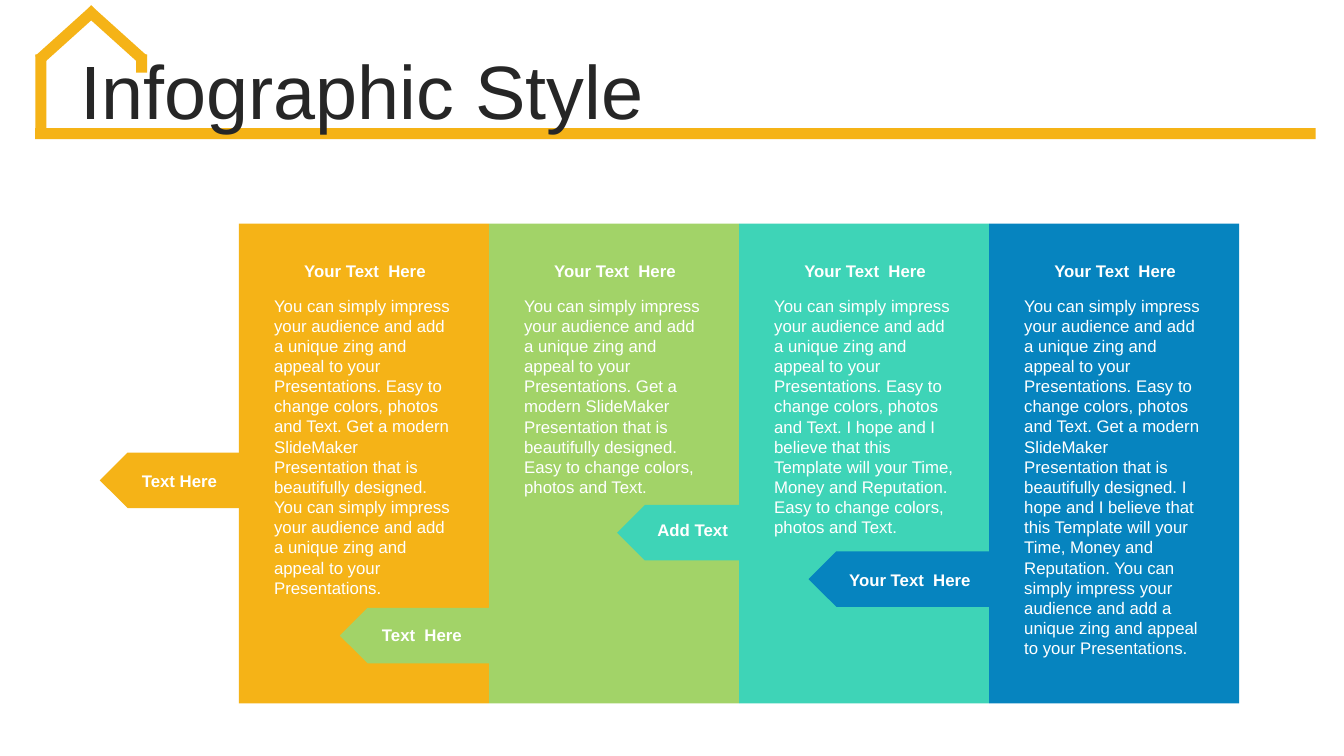
from pptx import Presentation
from pptx.dml.color import RGBColor
from pptx.enum.shapes import MSO_SHAPE
from pptx.enum.text import MSO_ANCHOR, MSO_AUTO_SIZE, PP_ALIGN
from pptx.util import Inches, Pt

COLORS = {
    "amber": "F5B317",
    "green": "A2D368",
    "teal": "3ED4B7",
    "blue": "0684BF",
    "title": "262626",
    "white": "FFFFFF",
}

PANEL_LEFT, PANEL_TOP, PANEL_WIDTH, PANEL_HEIGHT = 2.37, 2.22, 2.48, 4.76
TAG_HEIGHT = 0.55

IMPRESS = ("You can simply impress your audience and add a unique zing "
           "and appeal to your Presentations.")
EASY = "Easy to change colors, photos and Text."
MODERN = "Get a modern SlideMaker  Presentation that is beautifully designed."
HOPE = ("I hope and I believe that this Template will your Time, "
        "Money and Reputation.")

# color, body sentences, body height, tag (left, top), label, label box (left, top, width)
PANELS = [
    ("amber", [IMPRESS, EASY, MODERN, IMPRESS], 3.13,
     (0.99, 4.49), "Text Here", (1.28, 4.62, 1.0)),
    ("green", [IMPRESS, MODERN, EASY], 2.12,
     (3.37, 6.03), "Text  Here", (3.53, 6.15, 1.31)),
    ("teal", [IMPRESS, EASY, HOPE, EASY], 2.52,
     (6.12, 5.01), "Add Text", (6.28, 5.11, 1.18)),
    ("blue", [IMPRESS, EASY, MODERN, HOPE, IMPRESS], 3.74,
     (8.02, 5.47), "Your Text  Here", (8.24, 5.6, 1.57)),
]

# left, top, width, height, rotation
HOUSE_BARS = [
    (0.35, 1.27, 12.7, 0.11, 0),
    (0.35, 0.54, 0.11, 0.8, 0),
    (1.35, 0.54, 0.11, 0.18, 0),
    (0.61, -0.03, 0.11, 0.75, 48),
    (1.09, -0.03, 0.11, 0.75, 312),
]


def add_block(slide, kind, box, color, rotation=0):
    block = slide.shapes.add_shape(kind, *map(Inches, box))
    block.rotation = rotation
    block.shadow.inherit = False
    block.fill.solid()
    block.fill.fore_color.rgb = RGBColor.from_string(COLORS[color])
    block.line.fill.background()


def add_text(slide, box, text, size=12, color="white", bold=False,
             align=PP_ALIGN.LEFT):
    """Add a wrapped one-paragraph text box and return its text frame."""
    frame = slide.shapes.add_textbox(*map(Inches, box)).text_frame
    frame.word_wrap = True
    frame.auto_size = MSO_AUTO_SIZE.SHAPE_TO_FIT_TEXT
    paragraph = frame.paragraphs[0]
    paragraph.text = text
    paragraph.alignment = align
    font = paragraph.font
    font.name = "Arial"
    font.size = Pt(size)
    font.bold = bold
    font.color.rgb = RGBColor.from_string(COLORS[color])
    return frame


def add_label(slide, left, top, width, text):
    add_text(slide, (left, top, width, 0.3), text, bold=True,
             align=PP_ALIGN.CENTER)


def add_title(slide, text):
    for *box, rotation in HOUSE_BARS:
        add_block(slide, MSO_SHAPE.RECTANGLE, box, "amber", rotation)
    title = add_text(slide, (0.7, 0.55, 12.31, 0.79), text, 54, "title")
    title.auto_size = MSO_AUTO_SIZE.NONE
    title.vertical_anchor = MSO_ANCHOR.MIDDLE
    title.paragraphs[0].line_spacing = 0.9


def add_panel(slide, index, color, sentences, body_height, tag, label, label_box):
    """Add a colored column with its text and the arrow tag on its left edge."""
    left = PANEL_LEFT + index * PANEL_WIDTH
    tag_left, tag_top = tag
    add_block(slide, MSO_SHAPE.RECTANGLE,
              (left, PANEL_TOP, PANEL_WIDTH, PANEL_HEIGHT), color)
    add_block(slide, MSO_SHAPE.PENTAGON,
              (tag_left, tag_top, left - tag_left, TAG_HEIGHT), color, 180)
    add_label(slide, *label_box, label)
    add_label(slide, left + 0.36, 2.54, 1.78, "Your Text  Here")
    add_text(slide, (left + 0.25, 2.88, 1.99, body_height), " ".join(sentences))


def main():
    deck = Presentation()
    deck.slide_width = Inches(13.33)
    deck.slide_height = Inches(7.5)
    slide = deck.slides.add_slide(deck.slide_layouts[6])
    add_title(slide, "Infographic Style")
    for index, panel in enumerate(PANELS):
        add_panel(slide, index, *panel)
    deck.save("out.pptx")


if __name__ == "__main__":
    main()
